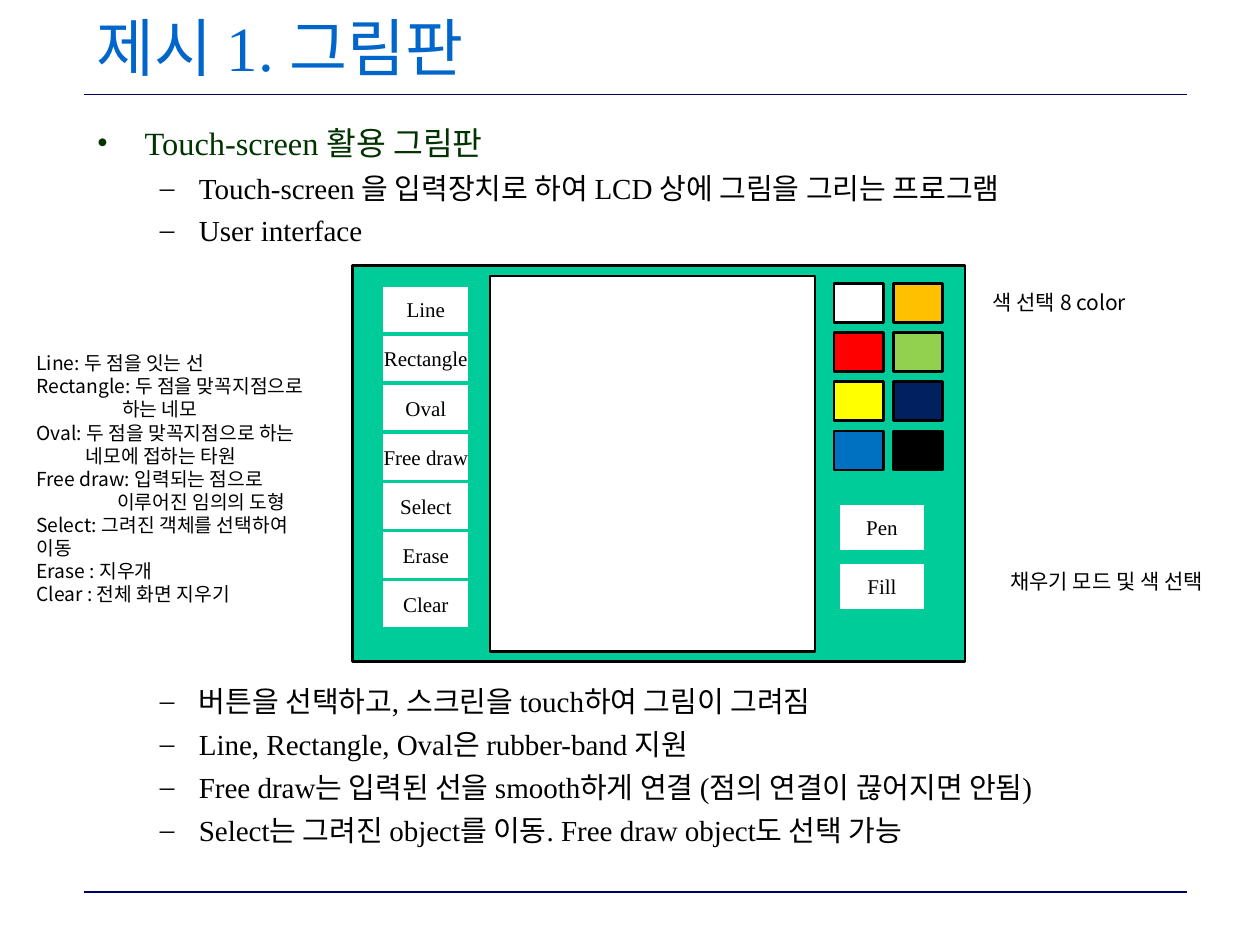
from pptx import Presentation
from pptx.dml.color import RGBColor
from pptx.enum.shapes import MSO_CONNECTOR as Link, MSO_SHAPE as Shape
from pptx.enum.text import MSO_ANCHOR as Anchor, PP_ALIGN as Align
from pptx.oxml.ns import qn
from pptx.util import Inches, Pt
from lxml.etree import SubElement as Sub

NAVY = RGBColor(0x00, 0x00, 0x66)
BLUE = RGBColor(0x00, 0x66, 0xCC)
MOSS = RGBColor(0x00, 0x33, 0x00)
TEAL = RGBColor(0x00, 0xCC, 0x99)
BLACK = RGBColor(0x00, 0x00, 0x00)
WHITE = RGBColor(0xFF, 0xFF, 0xFF)
GOLD = RGBColor(0xFF, 0xC0, 0x00)
RED = RGBColor(0xFF, 0x00, 0x00)
LIME = RGBColor(0x92, 0xD0, 0x50)
YELLOW = RGBColor(0xFF, 0xFF, 0x00)
DEEP = RGBColor(0x00, 0x20, 0x60)
AZURE = RGBColor(0x00, 0x70, 0xC0)

SERIF, SANS = "Times New Roman", "Noto Sans CJK KR"
SWATCHES = [WHITE, GOLD, RED, LIME, YELLOW, DEEP, AZURE, BLACK]
TOOLS = ["Line", "Rectangle", "Oval", "Free draw", "Select", "Erase", "Clear"]
MODES = ["Pen", "Fill"]
HEAD = "Touch-screen 활용 그림판"
POINTS = [
    ("Touch-screen 을 입력장치로 하여 LCD 상에 그림을 그리는 프로그램", 4.5),
    ("User interface", 4.5),
    ("버튼을 선택하고, 스크린을 touch하여 그림이 그려짐", 249),
    ("Line, Rectangle, Oval은 rubber-band 지원", 4.5),
    ("Free draw는 입력된 선을 smooth하게 연결 (점의 연결이 끊어지면 안됨)", 4.5),
    ("Select는 그려진 object를 이동. Free draw object도 선택 가능", 4.5),
]
NOTES = [
    ("Line: 두 점을 잇는 선", 0),
    ("Rectangle: 두 점을 맞꼭지점으로", 0),
    ("하는 네모", 0.68),
    ("Oval: 두 점을 맞꼭지점으로 하는", 0),
    ("네모에 접하는 타원", 0.39),
    ("Free draw: 입력되는 점으로", 0),
    ("이루어진 임의의 도형", 0.64),
    ("Select: 그려진 객체를 선택하여 이동", 0),
    ("Erase : 지우개", 0),
    ("Clear : 전체 화면 지우기", 0),
]


def style(item, **values):
    """Set each named attribute of the item."""
    for name, value in values.items():
        setattr(item, name, value)


def write(para, text, size, face=SERIF, color=BLACK, **values):
    """Fill a paragraph with one formatted run."""
    run = para.add_run()
    run.text = text
    style(run.font, size=Pt(size), name=face)
    run.font.color.rgb = color
    Sub(run.font._element, qn("a:ea"), typeface=SANS)
    style(para, **values)


def indent(para, left, hang=0):
    """Give a paragraph its left margin and hanging indent."""
    props = para._p.get_or_add_pPr()
    props.set("marL", str(Inches(left)))
    props.set("indent", str(-Inches(hang)))
    return props


def bullet(para, mark, color, left, hang):
    """Give a paragraph a coloured bullet."""
    props = indent(para, left, hang)
    Sub(Sub(props, qn("a:buClr")), qn("a:srgbClr"), val=str(color))
    Sub(props, qn("a:buFont"), typeface=SERIF)
    Sub(props, qn("a:buChar"), char=mark)


def frame(slide, box, wrap=True, **values):
    """Add a text box and return its text frame."""
    text = slide.shapes.add_textbox(*map(Inches, box)).text_frame
    style(text, word_wrap=wrap, **values)
    return text


def lines(text, count):
    """Return the given number of paragraphs of a text frame."""
    return [text.paragraphs[0]] + [text.add_paragraph() for _ in range(count - 1)]


def rule(slide, left, top, width):
    """Draw a level navy line."""
    ends = map(Inches, (left, top, left + width, top))
    line = slide.shapes.add_connector(Link.STRAIGHT, *ends)
    line.line.color.rgb = NAVY
    line.line.width = Pt(1)
    Sub(line._element.spPr, qn("a:effectLst"))


def block(slide, box, fill, edge=BLACK, width=1.5):
    """Draw a filled rectangle with an outline."""
    shape = slide.shapes.add_shape(Shape.RECTANGLE, *map(Inches, box))
    shape.shadow.inherit = False
    shape.fill.solid()
    shape.fill.fore_color.rgb = fill
    shape.line.color.rgb = edge
    shape.line.width = Pt(width)
    return shape


def buttons(slide, left, top, step, names):
    """Stack labelled buttons downward from a corner."""
    for row, name in enumerate(names):
        box = (left, top + row * step, 0.7, 0.39)
        text = block(slide, box, WHITE, TEAL, 2).text_frame
        style(text, word_wrap=False, vertical_anchor=Anchor.MIDDLE)
        write(text.paragraphs[0], name, 12, alignment=Align.CENTER)


def palette(slide, left, top):
    """Lay out the colour swatches in two columns."""
    for spot, color in enumerate(SWATCHES):
        row, col = divmod(spot, 2)
        box = (left + col * 0.47, top + row * 0.39, 0.39, 0.31)
        block(slide, box, color)


def panel(slide, left, top, width, height):
    """Draw the paint program screen."""
    block(slide, (left, top, width, height), TEAL)
    block(slide, (left + 1.09, top + 0.08, 2.58, height - 0.16), WHITE)
    buttons(slide, left + 0.23, top + 0.15, 0.39, TOOLS)
    palette(slide, left + 3.82, top + 0.14)
    buttons(slide, left + 3.85, top + 1.88, 0.47, MODES)


def title(slide, box):
    """Write the slide title."""
    text = frame(slide, box, vertical_anchor=Anchor.MIDDLE)
    write(text.paragraphs[0], "제시 1. 그림판", 36, color=BLUE)


def body(slide, box):
    """Write the bulleted text above and below the panel."""
    first, *rest = lines(frame(slide, box), len(POINTS) + 1)
    write(first, HEAD, 18.5, color=MOSS, line_spacing=Pt(23.5))
    bullet(first, "•", MOSS, 0.38, 0.38)
    for para, (point, gap) in zip(rest, POINTS):
        write(para, point, 16.6, level=1, line_spacing=Pt(20), space_before=Pt(gap))
        bullet(para, "–", BLACK, 0.81, 0.31)


def notes(slide, box):
    """Explain the tools beside the panel."""
    for para, (note, left) in zip(lines(frame(slide, box), len(NOTES)), NOTES):
        write(para, note, 11, SANS, line_spacing=Pt(13.2))
        indent(para, left)


def label(slide, box, words):
    """Write a short remark beside the panel."""
    write(frame(slide, box, False).paragraphs[0], words, 12, SANS, line_spacing=Pt(14.4))


def main():
    """Build and save the slide."""
    deck = Presentation()
    style(deck, slide_width=Inches(10), slide_height=Inches(7.5))
    slide = deck.slides.add_slide(deck.slide_layouts[6])
    for top in (0.75, 7.08):
        rule(slide, 0.67, top, 8.75)
    body(slide, (0.67, 0.91, 8.75, 6.06))
    title(slide, (0.67, 0.08, 8.75, 0.58))
    panel(slide, 2.8, 2.11, 4.86, 3.14)
    notes(slide, (0.19, 2.74, 2.45, 2.12))
    label(slide, (7.78, 2.25, 1.32, 0.3), "색 선택 8 color")
    label(slide, (7.92, 4.46, 1.76, 0.3), "채우기 모드 및 색 선택")
    deck.save("out.pptx")


if __name__ == "__main__":
    main()
